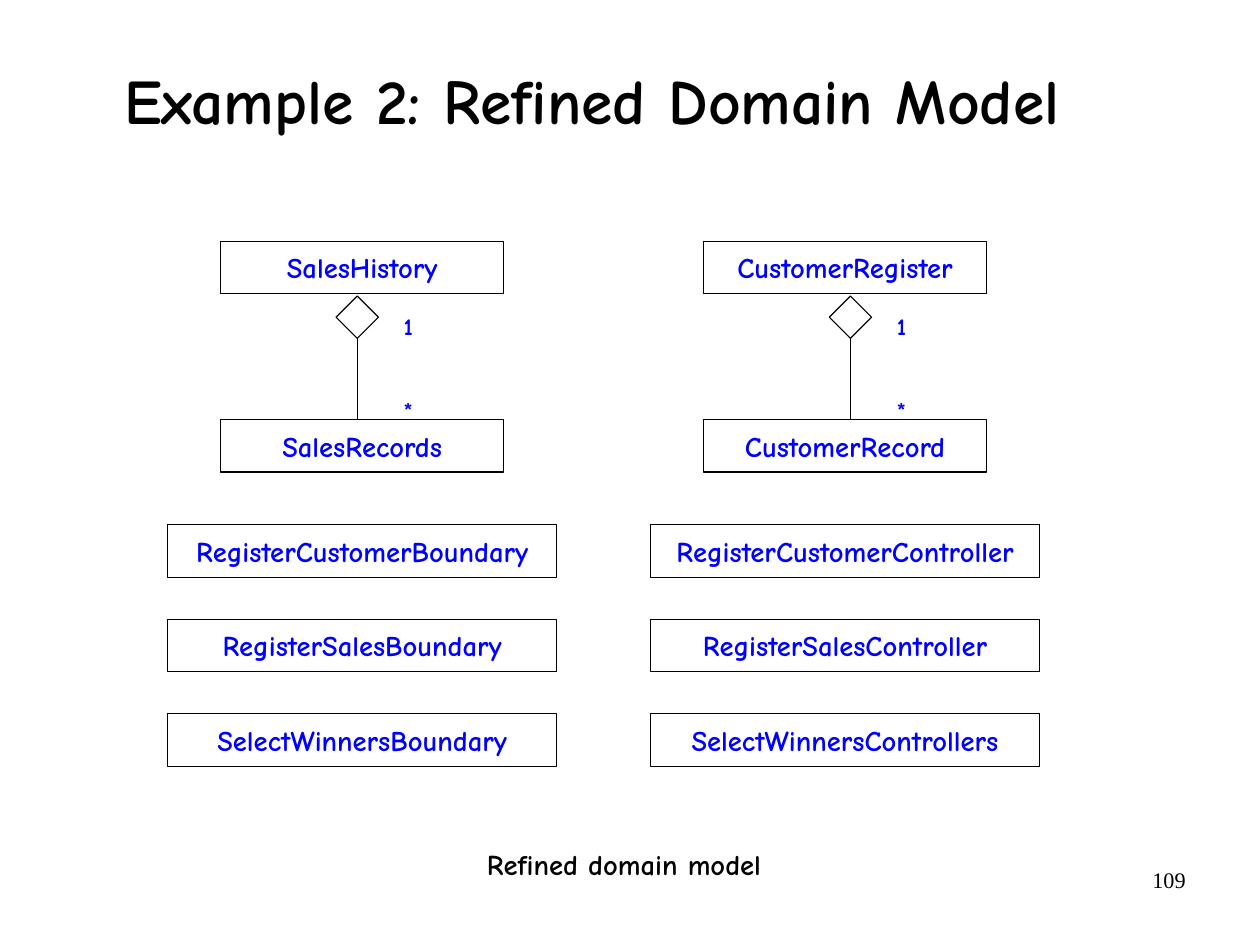
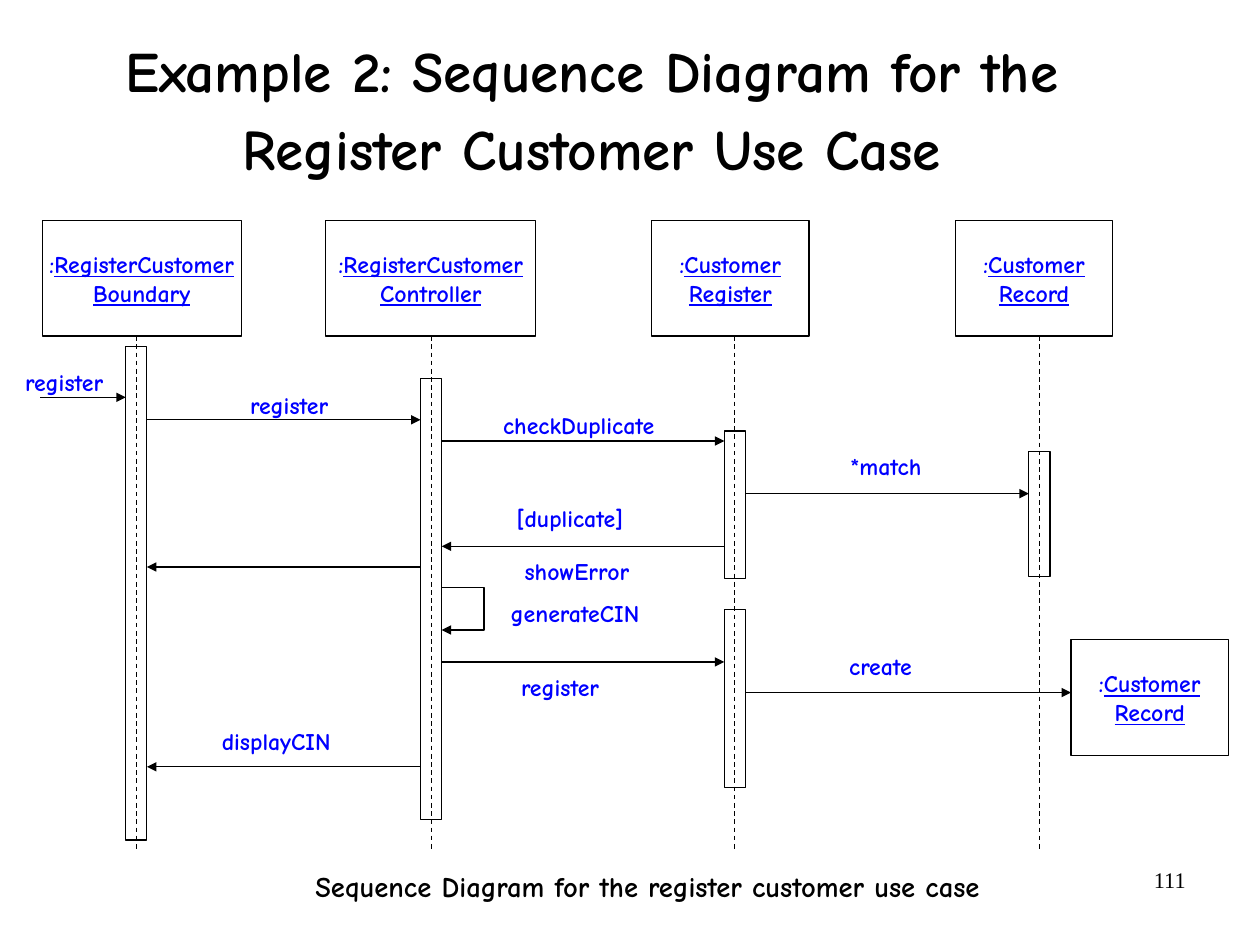
from dataclasses import dataclass

from lxml.etree import SubElement
from pptx import Presentation
from pptx.dml.color import RGBColor
from pptx.enum.dml import MSO_LINE
from pptx.enum.shapes import MSO_CONNECTOR, MSO_SHAPE
from pptx.enum.text import MSO_ANCHOR, MSO_AUTO_SIZE, PP_ALIGN
from pptx.oxml.ns import qn
from pptx.util import Cm, Pt


@dataclass(frozen=True)
class Theme:
    ink: RGBColor = RGBColor(0, 0, 0)
    blue: RGBColor = RGBColor(0, 0, 255)
    font: str = "Comic Neue"
    serif: str = "Times New Roman"
    stroke: float = 0.75
    label: int = 15
    body: int = 18
    page: int = 14


THEME = Theme()
PAD = (0.28, 0.15)
BAR = 0.47
TOP, FOOT = 7.47, 18.9


def write(para, text, size=THEME.label, color=THEME.blue, bold=True,
          under=False, font=THEME.font, align=PP_ALIGN.LEFT):
    """Append one formatted run to a paragraph."""
    para.alignment = align
    run = para.add_run()
    run.text = text
    run.font.size = Pt(size)
    run.font.color.rgb = color
    run.font.bold = bold
    run.font.underline = under
    run.font.name = font


def fit(frame, pad=(0, 0), wrap=False, anchor=MSO_ANCHOR.TOP):
    """Set the insets, wrapping and anchor of a text frame."""
    frame.auto_size = MSO_AUTO_SIZE.NONE
    frame.word_wrap = wrap
    frame.vertical_anchor = anchor
    frame.margin_left = frame.margin_right = Cm(pad[0])
    frame.margin_top = frame.margin_bottom = Cm(pad[1])
    return frame.paragraphs[0]


class Deck:
    """Holds the theme, the presentation and the current slide."""

    def __init__(self, theme):
        self.theme = theme
        self.show = Presentation()
        self.show.slide_width, self.show.slide_height = Cm(28), Cm(21)
        self.slide = None

    def start(self, title, page, size, top, high, gap):
        """Open a slide with its title and page number."""
        self.slide = self.show.slides.add_slide(self.show.slide_layouts[5])
        head = self.slide.shapes.title
        head.left, head.top, head.width, head.height = map(
            Cm, (1.25, top, 23.8, high))
        para = fit(head.text_frame, (0.05, 0.15), True, MSO_ANCHOR.MIDDLE)
        para.line_spacing = gap
        para.space_before = Pt(0)
        write(para, title, size=size, color=self.theme.ink,
              align=PP_ALIGN.CENTER)
        self.label(page, 20.07, 19.13, 6.53, 1.45, (0.25, 0.13), True,
                   size=self.theme.page, color=self.theme.ink, bold=False,
                   font=self.theme.serif, align=PP_ALIGN.RIGHT)

    def label(self, text, x, y, w, h=0.64, pad=(0, 0), wrap=False, **style):
        box = self.slide.shapes.add_textbox(Cm(x), Cm(y), Cm(w), Cm(h))
        write(fit(box.text_frame, pad, wrap), text, **style)

    def note(self, text, x, y, w, h, pad=(0, 0)):
        """Add the caption below a diagram."""
        self.label(text, x, y, w, h, pad, size=self.theme.body,
                   color=self.theme.ink)

    def trim(self, shape):
        """Give a shape the thin outline, no fill and no shadow."""
        shape.shadow.inherit = False
        shape.fill.background()
        shape.line.color.rgb = self.theme.ink
        shape.line.width = Pt(self.theme.stroke)
        return shape

    def box(self, x, y, w, h, kind=MSO_SHAPE.RECTANGLE):
        return self.trim(self.slide.shapes.add_shape(
            kind, Cm(x), Cm(y), Cm(w), Cm(h)))

    def entity(self, text, mid, y, w):
        """Add a class box centred on mid."""
        box = self.box(mid - w / 2, y, w, 1.17)
        write(fit(box.text_frame, anchor=MSO_ANCHOR.MIDDLE), text,
              size=self.theme.body, align=PP_ALIGN.CENTER)

    def object(self, first, last, x, y, w):
        """Add an object box with a two-line underlined name."""
        frame = self.box(x, y, w, 2.57).text_frame
        para = fit(frame, PAD, anchor=MSO_ANCHOR.MIDDLE)
        write(para, ":", align=PP_ALIGN.CENTER)
        write(para, first, under=True, align=PP_ALIGN.CENTER)
        write(frame.add_paragraph(), last, under=True, align=PP_ALIGN.CENTER)

    def tip(self, shape):
        """Put an arrowhead at the end of a line."""
        line = shape._element.spPr.find(qn("a:ln"))
        SubElement(line, qn("a:tailEnd"), type="triangle")

    def line(self, x1, y1, x2, y2, dash=False, arrow=False):
        link = self.slide.shapes.add_connector(
            MSO_CONNECTOR.STRAIGHT, Cm(x1), Cm(y1), Cm(x2), Cm(y2))
        link.line.color.rgb = self.theme.ink
        link.line.width = Pt(self.theme.stroke)
        if dash:
            link.line.dash_style = MSO_LINE.DASH
        if arrow:
            self.tip(link)
        SubElement(link._element.spPr, qn("a:effectLst"))

    def loop(self, x, y, side):
        """Add the arrow of an object calling itself."""
        path = self.slide.shapes.build_freeform(Cm(x), Cm(y))
        path.add_line_segments(
            [(Cm(x + side), Cm(y)), (Cm(x + side), Cm(y + side)),
             (Cm(x), Cm(y + side))], close=False)
        self.tip(self.trim(path.convert_to_shape()))


def domain(deck):
    deck.start("Example 2: Refined Domain Model", "109", 40, 0.5, 3.6, 0.94)
    pairs = (
        (8.05, 7.94, "SalesHistory", "SalesRecords", "Boundary", ""),
        (18.78, 18.9, "CustomerRegister", "CustomerRecord", "Controller", "s"),
    )
    for mid, axis, whole, part, role, end in pairs:
        deck.entity(whole, mid, 5.36, 6.3)
        deck.entity(part, mid, 9.32, 6.3)
        deck.box(axis - 0.47, 6.58, 0.94, 0.94, MSO_SHAPE.DIAMOND)
        deck.line(axis, 7.5, axis, 9.32)
        for mark, y in (("1", 6.78), ("*", 8.64)):
            deck.label(mark, axis + 0.75, y, 0.76, 0.91, PAD)
        names = ("RegisterCustomer" + role, "RegisterSales" + role,
                 "SelectWinners" + role + end)
        for row, name in enumerate(names):
            deck.entity(name, mid, 11.66 + 2.1 * row, 8.64)
    deck.note("Refined domain model", 10.54, 18.67, 6.65, 1.04, PAD)


def sequence(deck):
    deck.start("Example 2: Sequence Diagram for the Register Customer Use Case",
               "111", 36, -0.15, 4.9, 1.14)
    bound, control, register, record = axes = (3.03, 9.58, 16.33, 23.1)
    heads = (
        ("RegisterCustomer", "Boundary", 0.94, 4.9, 4.42),
        ("RegisterCustomer", "Controller", 7.24, 4.9, 4.67),
        ("Customer", "Register", 14.48, 4.9, 3.5),
        ("Customer", "Record", 21.23, 4.9, 3.5),
        ("Customer", "Record", 23.8, 14.22, 3.5),
    )
    for head in heads:
        deck.object(*head)
    for axis in axes:
        deck.line(axis, TOP, axis, FOOT, dash=True)

    bars = ((bound, 7.7, 10.97), (control, 8.41, 9.8), (register, 9.58, 3.28),
            (register, 13.54, 3.96), (record, 10.03, 2.79))
    for axis, y, high in bars:
        deck.box(axis - BAR / 2, y, BAR, high)

    calls = ((bound, control, 9.33), (control, register, 9.8),
             (register, record, 10.97), (register, control, 12.14),
             (control, bound, 12.6), (control, register, 14.71),
             (control, bound, 17.04))
    for start, end, y in calls:
        edge = BAR / 2 if end > start else -BAR / 2
        deck.line(start + edge, y, end - edge, y, arrow=True)
    deck.line(0.89, 8.83, bound - BAR / 2, 8.83, arrow=True)
    deck.line(register + BAR / 2, 15.39, 23.8, 15.39, arrow=True)
    deck.loop(control + BAR / 2, 13.06, 0.94)

    labels = (
        ("register", 0.56, 8.18, 1.75),
        ("register", 5.56, 8.69, 1.75),
        ("checkDuplicate", 11.18, 9.12, 3.38),
        ("*match", 18.9, 10.03, 1.6),
        ("[duplicate]", 11.48, 11.2, 2.39),
        ("showError", 11.66, 12.37, 2.34),
        ("generateCIN", 11.35, 13.31, 2.9),
        ("create", 18.87, 14.48, 1.42),
        ("register", 11.58, 14.94, 1.75),
        ("displayCIN", 4.93, 16.15, 2.41),
    )
    for label in labels:
        deck.label(*label)
    deck.note("Sequence Diagram for the register customer use case",
              7.01, 19.3, 14.86, 0.76)


def main():
    deck = Deck(THEME)
    domain(deck)
    sequence(deck)
    deck.show.save("out.pptx")


if __name__ == "__main__":
    main()
